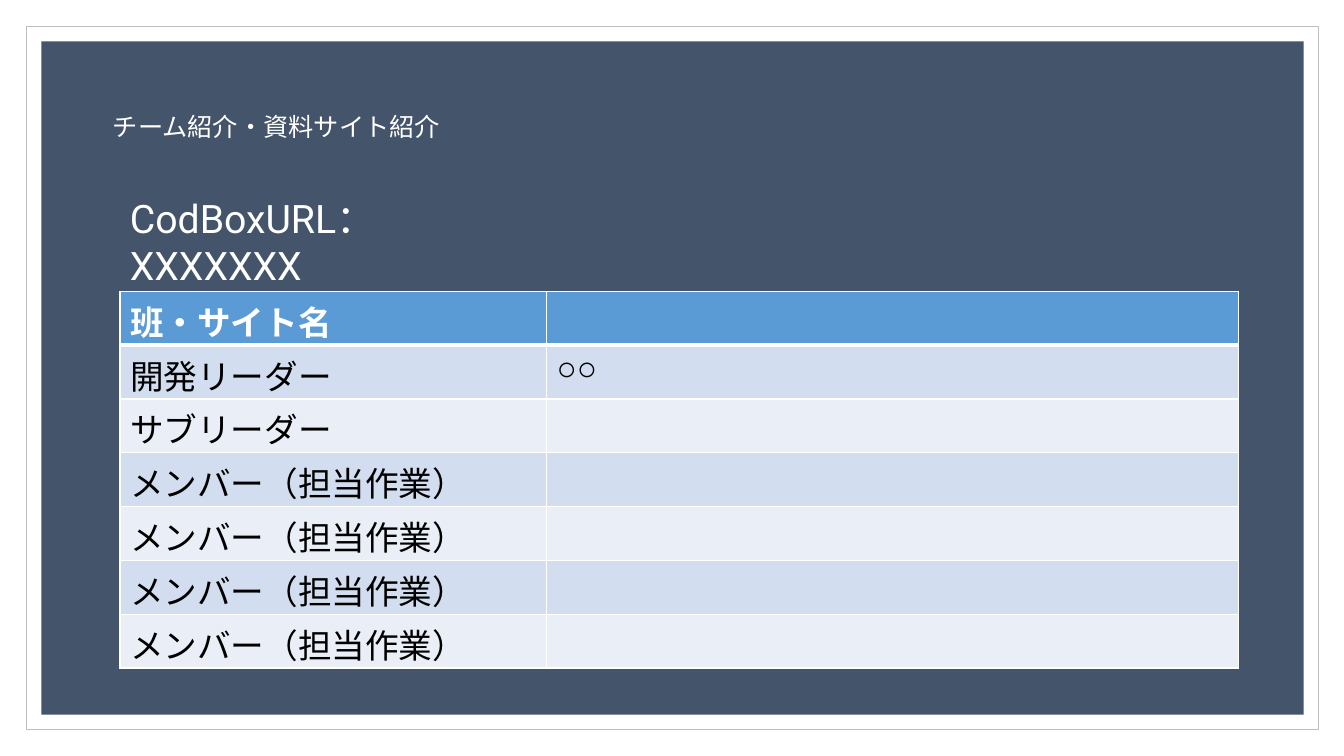
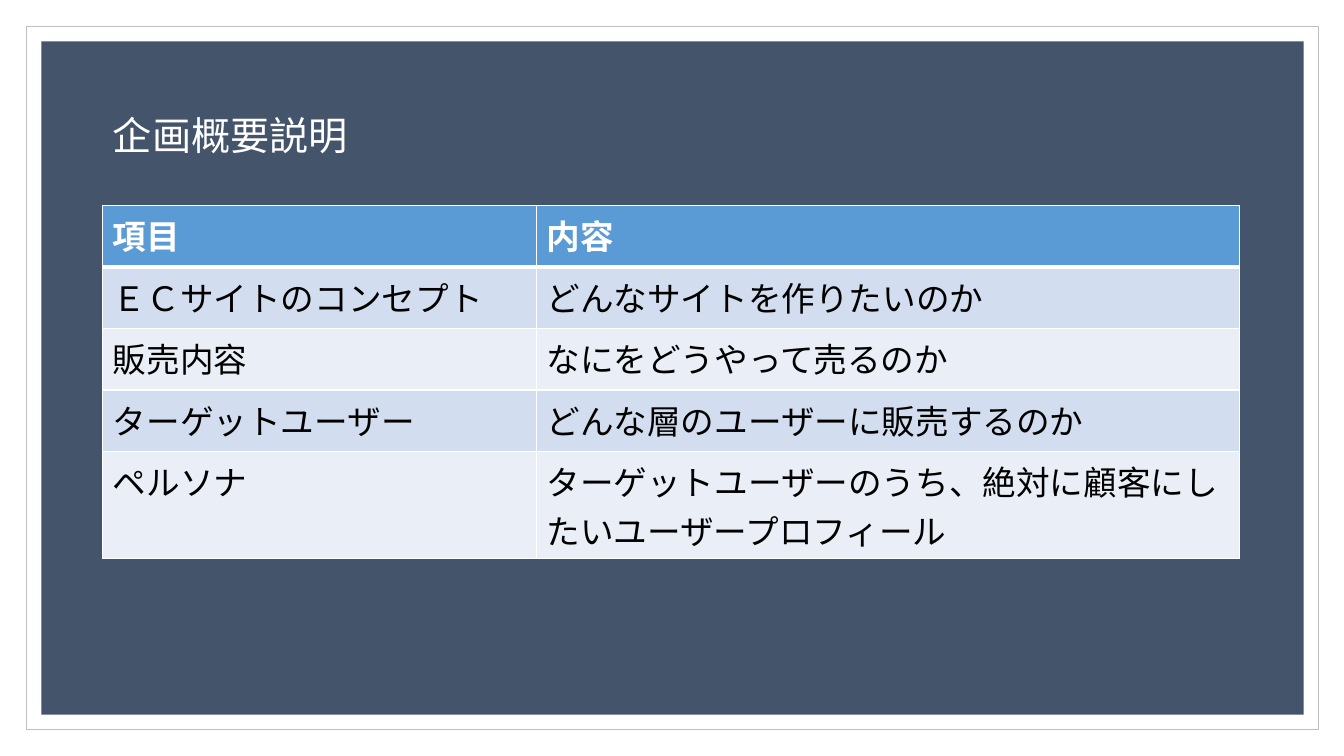
from lxml.etree import SubElement
from pptx import Presentation
from pptx.dml.color import RGBColor
from pptx.enum.shapes import MSO_SHAPE
from pptx.enum.text import MSO_ANCHOR, PP_ALIGN
from pptx.oxml.ns import qn
from pptx.util import Inches, Pt

# Shared style
WHITE, BLACK = "FFFFFF", "000000"
PANEL, FRAME_LINE = "44546A", "BFBFBF"
HEADER, BANDS = "5B9BD5", ("EAEFF7", "D2DEEF")
BODY_FONT, DISPLAY_FONT = "Arial", "Roboto"


def rgb(code):
    return RGBColor.from_string(code)


class Deck:
    def __init__(self):
        self.prs = Presentation()
        self.prs.slide_width, self.prs.slide_height = Inches(13.33), Inches(7.5)
        self.layout = self.prs.slide_layouts[5]
        self.slide = None

    def new_slide(self):
        self.slide = self.prs.slides.add_slide(self.layout)

    def share_frame(self):
        """Draw the frame and panel, then move them to the back of the layout."""
        border = self.rect((0.26, 0.26, 12.82, 6.98), WHITE, FRAME_LINE)
        panel = self.rect((0.41, 0.41, 12.52, 6.68), PANEL)
        tree = self.layout.shapes._spTree
        for index, part in enumerate((border, panel), start=2):
            tree.insert(index, part._element)

    def rect(self, box, fill, line=None):
        shape = self.slide.shapes.add_shape(MSO_SHAPE.RECTANGLE, *map(Inches, box))
        shape.shadow.inherit = False
        shape.fill.solid()
        shape.fill.fore_color.rgb = rgb(fill)
        if line:
            shape.line.color.rgb = rgb(line)
            shape.line.width = Pt(0.5)
        else:
            shape.line.fill.background()
        return shape

    def add_text(self, frame, text, size, font, color=WHITE, bold=False):
        frame.word_wrap = True
        paragraph = frame.paragraphs[0]
        paragraph.alignment = PP_ALIGN.LEFT
        run = paragraph.add_run()
        run.text = text
        run.font.size, run.font.name, run.font.bold = Pt(size), font, bold
        run.font.color.rgb = rgb(color)

    def title(self, text, width, height, size, font):
        title = self.slide.shapes.title
        title.left, title.top = Inches(1.02), Inches(1.05)
        title.width, title.height = Inches(width), Inches(height)
        title.text_frame.vertical_anchor = MSO_ANCHOR.TOP
        self.add_text(title.text_frame, text, size, font)

    def label(self, box, text, size, font):
        label = self.slide.shapes.add_textbox(*map(Inches, box))
        self.add_text(label.text_frame, text, size, font)

    def borders(self, cell, top, bottom):
        properties = cell._tc.get_or_add_tcPr()
        sides = (("a:lnL", 1), ("a:lnR", 1), ("a:lnT", top), ("a:lnB", bottom))
        for index, (side, width) in enumerate(sides):
            line = SubElement(properties, qn(side), w=str(Pt(width)))
            fill = SubElement(line, qn("a:solidFill"))
            SubElement(fill, qn("a:srgbClr"), val=WHITE)
            properties.insert(index, line)

    def table(self, left, top, widths, heights, rows):
        table = self.slide.shapes.add_table(
            len(rows), len(widths), Inches(left), Inches(top),
            Inches(sum(widths)), Inches(sum(heights))).table
        for column, width in zip(table.columns, widths):
            column.width = Inches(width)
        for r, (height, texts) in enumerate(zip(heights, rows)):
            table.rows[r].height = Inches(height)
            is_header = r == 0
            for c, text in enumerate(texts):
                cell = table.cell(r, c)
                cell.margin_bottom = 0
                cell.fill.solid()
                cell.fill.fore_color.rgb = rgb(HEADER if is_header else BANDS[r % 2])
                self.borders(cell, 3 if r == 1 else 1, 3 if is_header else 1)
                if text:
                    self.add_text(cell.text_frame, text, 24, BODY_FONT,
                                  WHITE if is_header else BLACK, is_header)


deck = Deck()

# Team and site
deck.new_slide()
deck.share_frame()
deck.title("チーム紹介・資料サイト紹介", 3.48, 0.4, 18, BODY_FONT)
team = [
    ("班・サイト名", ""),
    ("開発リーダー", "○○"),
    ("サブリーダー", ""),
] + [("メンバー（担当作業）", "")] * 4
deck.table(1.19, 2.89, (4.23, 6.86), [0.5] * len(team), team)
deck.label((1.19, 1.88, 3.83, 0.57), "CodBoxURL：XXXXXXX", 28, DISPLAY_FONT)

# Plan overview
deck.new_slide()
deck.title("企画概要説明", 2.56, 0.57, 28, DISPLAY_FONT)
plan = [
    ("項目", "内容"),
    ("ＥＣサイトのコンセプト", "どんなサイトを作りたいのか"),
    ("販売内容", "なにをどうやって売るのか"),
    ("ターゲットユーザー", "どんな層のユーザーに販売するのか"),
    ("ペルソナ", "ターゲットユーザーのうち、絶対に顧客にしたいユーザープロフィール"),
]
deck.table(1.02, 2.04, (4.3, 6.97), [0.61] * 4 + [1.06], plan)

deck.prs.save("out.pptx")
